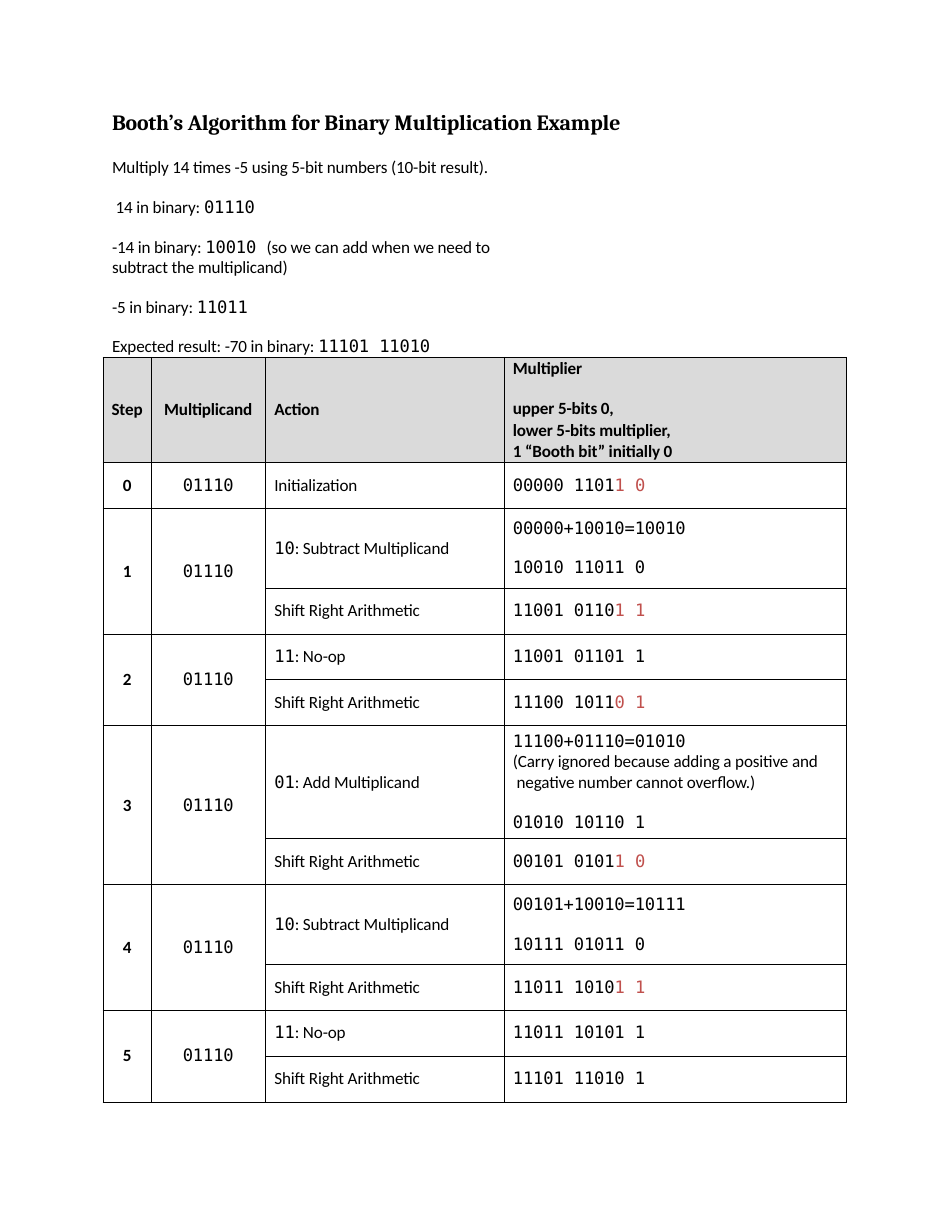
from lxml import etree
from pptx import Presentation
from pptx.dml.color import RGBColor
from pptx.enum.text import MSO_ANCHOR, PP_ALIGN
from pptx.oxml.ns import qn
from pptx.util import Inches, Pt

LEFT, CENTER = PP_ALIGN.LEFT, PP_ALIGN.CENTER
MIDDLE = MSO_ANCHOR.MIDDLE
BLACK, RED, HEADER_FILL = "000000", "C0504D", "DADADA"
BODY_FONT, TITLE_FONT, CODE_FONT = "Calibri", "Cambria", "DejaVu Sans Mono"

# `...` is set in the code font, ~...~ in red, \v is a line break.
TITLE = "Booth’s Algorithm for Binary Multiplication Example"
INTRODUCTION = [
    "Multiply 14 times -5 using 5-bit numbers (10-bit result).",
    " 14 in binary: `01110`",
    "-14 in binary: `10010 `(so we can add when we need to\vsubtract the multiplicand)",
    "-5 in binary: `11011`",
    "Expected result: -70 in binary: `11101 11010`",
]
HEADER = [
    ["Step"],
    ["Multiplicand"],
    ["Action"],
    ["Multiplier", "upper 5-bits 0,\vlower 5-bits multiplier,\v1 “Booth bit” initially 0"],
]
MULTIPLICAND = "`01110`"
SUBTRACT, ADD, NO_OP = "`10`: Subtract Multiplicand", "`01`: Add Multiplicand", "`11`: No-op"
SHIFT = "Shift Right Arithmetic"
CARRY_NOTE = "(Carry ignored because adding a positive and\v negative number cannot overflow.)"
# One entry per step: its (action, multiplier lines) rows.
STEPS = [
    [("Initialization", ["`00000 1101~1 0~`"])],
    [(SUBTRACT, ["`00000+10010=10010`", "`10010 11011 0`"]),
     (SHIFT, ["`11001 0110~1 1~`"])],
    [(NO_OP, ["`11001 01101 1`"]),
     (SHIFT, ["`11100 1011~0 1~`"])],
    [(ADD, ["`11100+01110=01010`\v" + CARRY_NOTE, "`01010 10110 1`"]),
     (SHIFT, ["`00101 0101~1 0~`"])],
    [(SUBTRACT, ["`00101+10010=10111`", "`10111 01011 0`"]),
     (SHIFT, ["`11011 1010~1 1~`"])],
    [(NO_OP, ["`11011 10101 1`"]),
     (SHIFT, ["`11101 11010 1`"])],
]
COLUMN_WIDTHS = [0.43, 1.02, 2.13, 3.06]
HEADER_HEIGHT = 0.94
ROW_HEIGHTS = {SUBTRACT: 0.71, ADD: 1.01}
PLAIN_ROW_HEIGHT = 0.41
TABLE_LEFT, TABLE_TOP = 0.92, 3.19


def color(value):
    return RGBColor.from_string(value)


def write(paragraph, text, font=BODY_FONT, size=11, bold=False, align=LEFT, before=0):
    paragraph.alignment = align
    paragraph.space_before = Pt(before)
    for code_index, code_part in enumerate(text.split("`")):
        for red_index, red_part in enumerate(code_part.split("~")):
            for line_index, line in enumerate(red_part.split("\v")):
                if line_index:
                    paragraph.add_line_break()
                if not line:
                    continue
                run = paragraph.add_run()
                run.text = line
                run.font.name = CODE_FONT if code_index % 2 else font
                run.font.size = Pt(size)
                run.font.bold = bold
                run.font.color.rgb = color(RED if red_index % 2 else BLACK)
                run.font._element.set("spc", "-10")


def set_margins(target, left=0):
    target.margin_left = Inches(left)
    target.margin_top = target.margin_right = target.margin_bottom = 0


def add_borders(cell):
    properties = cell._tc.get_or_add_tcPr()
    for side in ("a:lnL", "a:lnR", "a:lnT", "a:lnB"):
        line = etree.SubElement(properties, qn(side), w=str(Pt(0.5)))
        fill = etree.SubElement(line, qn("a:solidFill"))
        etree.SubElement(fill, qn("a:srgbClr"), val=BLACK)


def fill_cell(cell, lines, **text_format):
    for index, line in enumerate(lines):
        frame = cell.text_frame
        paragraph = frame.add_paragraph() if index else frame.paragraphs[0]
        write(paragraph, line, before=12.5 if index else 0, **text_format)


def add_introduction(slide):
    box = slide.shapes.add_textbox(Inches(0.99), Inches(0.97), Inches(5.02), Inches(2.2))
    frame = box.text_frame
    frame.word_wrap = True
    set_margins(frame, left=0.01)
    write(frame.paragraphs[0], TITLE, font=TITLE_FONT, size=14, bold=True, before=1)
    for index, text in enumerate(INTRODUCTION):
        write(frame.add_paragraph(), text, before=12.3 if index else 14)


def add_step_table(slide):
    actions = [action for step in STEPS for action, _ in step]
    heights = [HEADER_HEIGHT] + [ROW_HEIGHTS.get(a, PLAIN_ROW_HEIGHT) for a in actions]
    table = slide.shapes.add_table(
        len(heights), len(COLUMN_WIDTHS), Inches(TABLE_LEFT), Inches(TABLE_TOP),
        Inches(sum(COLUMN_WIDTHS)), Inches(sum(heights))).table
    table.first_row = table.horz_banding = False
    for column, width in zip(table.columns, COLUMN_WIDTHS):
        column.width = Inches(width)

    for row_index, height in enumerate(heights):
        table.rows[row_index].height = Inches(height)
        for column_index in range(len(COLUMN_WIDTHS)):
            cell = table.cell(row_index, column_index)
            set_margins(cell, left=0 if column_index < 2 else 0.08)
            cell.vertical_anchor = MIDDLE
            add_borders(cell)
            if row_index == 0:
                cell.fill.solid()
                cell.fill.fore_color.rgb = color(HEADER_FILL)
            else:
                cell.fill.background()

    for column_index, lines in enumerate(HEADER):
        align = CENTER if column_index < 2 else LEFT
        fill_cell(table.cell(0, column_index), lines, bold=True, align=align)

    row_index = 1
    for number, step in enumerate(STEPS):
        if len(step) > 1:
            for column_index in (0, 1):
                last_cell = table.cell(row_index + len(step) - 1, column_index)
                table.cell(row_index, column_index).merge(last_cell)
        fill_cell(table.cell(row_index, 0), [str(number)], bold=True, align=CENTER)
        fill_cell(table.cell(row_index, 1), [MULTIPLICAND], align=CENTER)
        for action, multiplier_lines in step:
            fill_cell(table.cell(row_index, 2), [action])
            fill_cell(table.cell(row_index, 3), multiplier_lines)
            row_index += 1


def main():
    presentation = Presentation()
    presentation.slide_width, presentation.slide_height = Inches(8.5), Inches(11)
    slide = presentation.slides.add_slide(presentation.slide_layouts[6])
    add_introduction(slide)
    add_step_table(slide)
    presentation.save("out.pptx")


if __name__ == "__main__":
    main()
